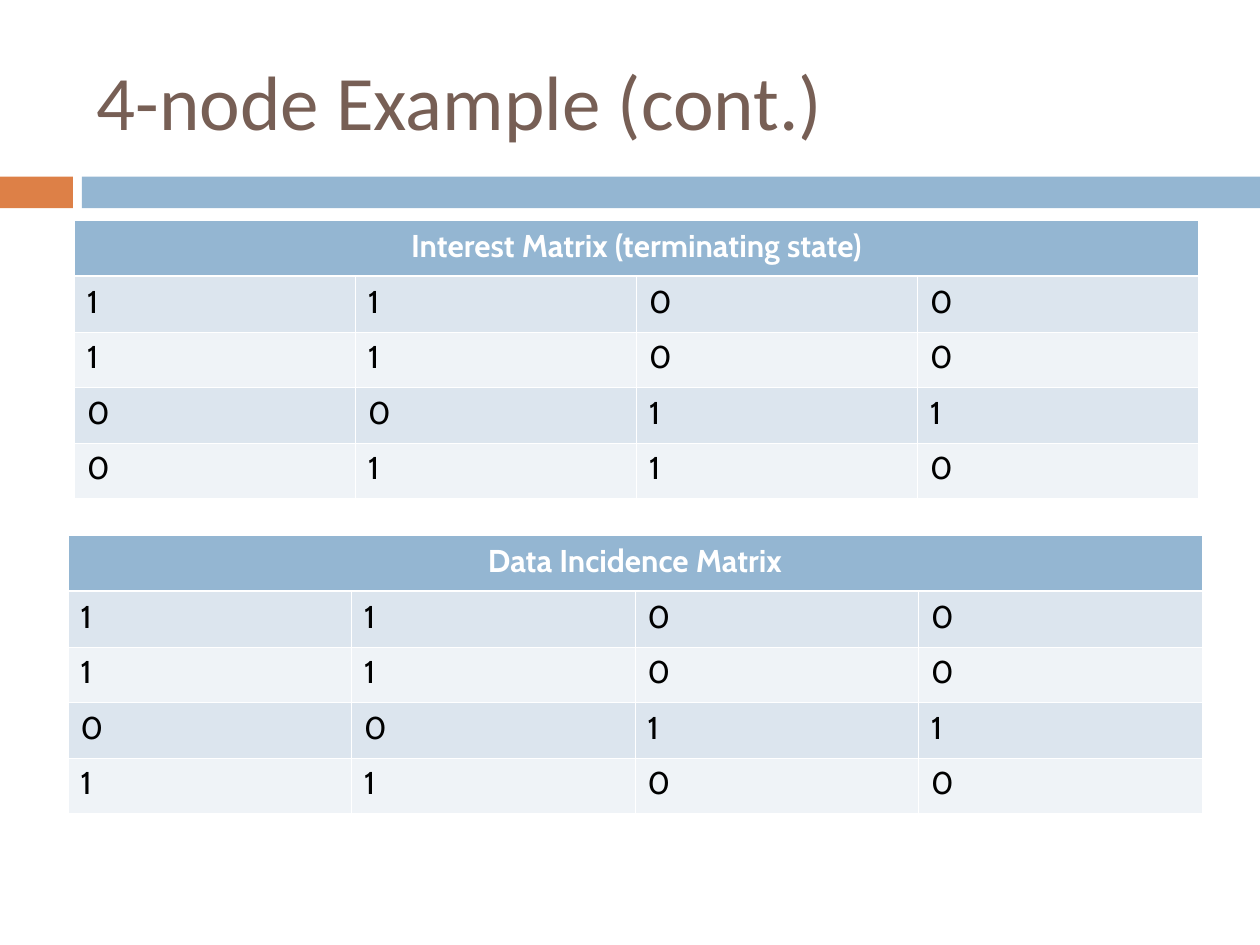
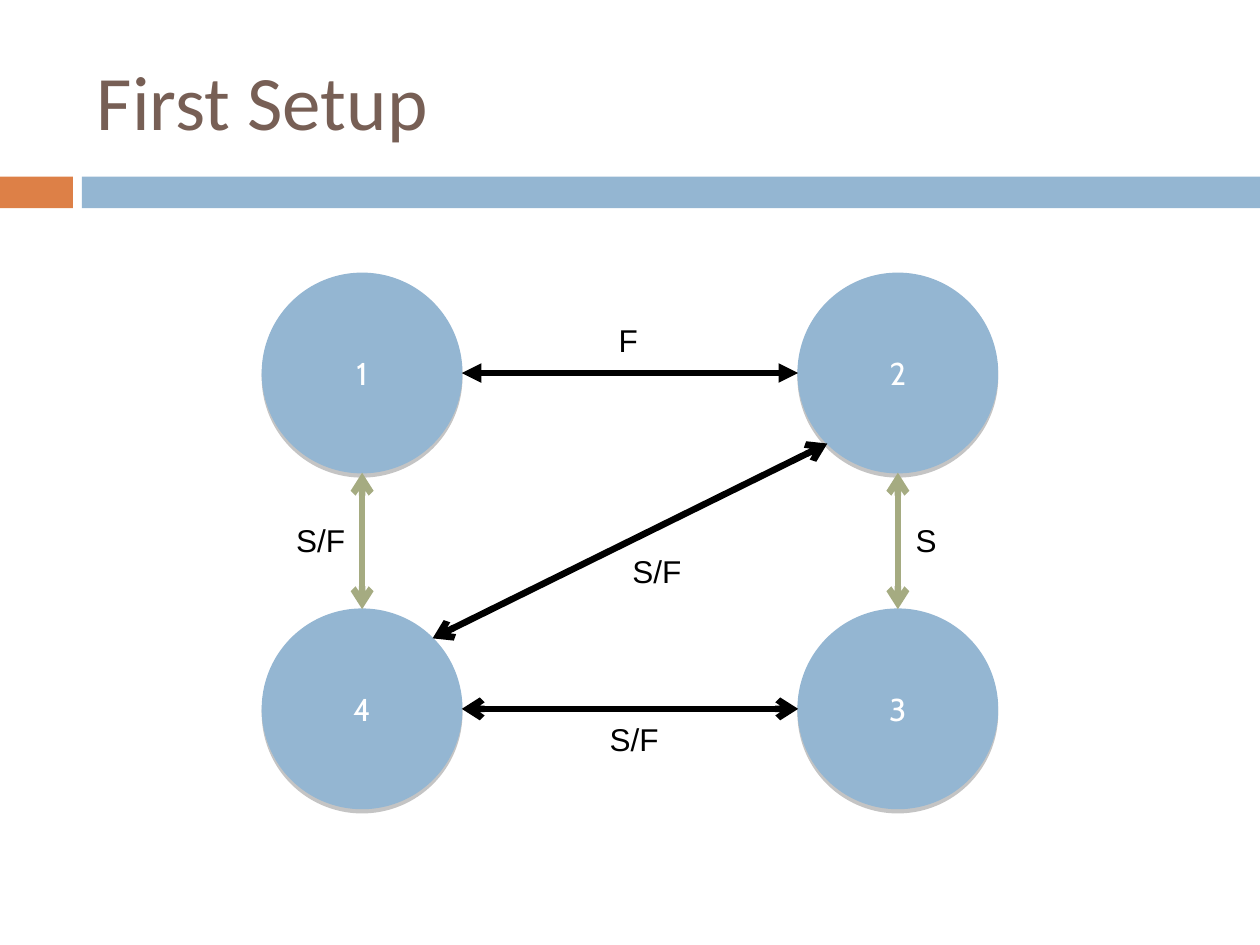
import math
import pptx
import pptx.util
import pptx.dml.color
import pptx.enum.shapes
import pptx.enum.text
import pptx.oxml
import pptx.oxml.ns

Cm, Pt = pptx.util.Cm, pptx.util.Pt
Kind = pptx.enum.shapes.MSO_SHAPE
Align = pptx.enum.text.PP_ALIGN
Mid = pptx.enum.text.MSO_ANCHOR.MIDDLE

BLUE, RUST, BROWN, SAGE = "94B6D2", "DD8047", "775F55", "A5AB81"
WHITE, BLACK = "FFFFFF", "000000"
BANDS = "DCE5EE", "EFF3F7"
BARS = [(0, 1.47, RUST), (1.65, 23.75, BLUE)]

TABLES = [
    ("Interest Matrix (terminating state)", 1.5, 4.45, 22.66,
     ["1100", "1100", "0011", "0110"]),
    ("Data Incidence Matrix", 1.37, 10.8, 22.86,
     ["1100", "1100", "0011", "1100"]),
]
ROW = 1.12

SIZE = 4.02
NODES = {"1": (7.3, 7.52), "2": (18.1, 7.52),
         "3": (18.1, 14.29), "4": (7.3, 14.29)}
LINKS = [
    ("1", 0, "2", 180, BLACK, "triangle"),
    ("4", -45, "2", 135, BLACK, "arrow"),
    ("4", 0, "3", 180, BLACK, "arrow"),
    ("4", -90, "1", 90, SAGE, "arrow"),
    ("3", -90, "2", 90, SAGE, "arrow"),
]
LABELS = [
    ("S", 18.21, 10.37, 0.91),
    ("S/F", 12.04, 14.4, 1.5),
    ("S/F", 12.5, 11, 1.5),
    ("F", 12.22, 6.35, 0.89),
    ("S/F", 5.72, 10.37, 1.5),
]


def tint(code):
    return pptx.dml.color.RGBColor.from_string(code)


def paint(thing, code):
    thing.fill.solid()
    thing.fill.fore_color.rgb = tint(code)


def write(frame, text, size, face, code, bold=False, align=Align.LEFT):
    par = frame.paragraphs[0]
    par.alignment = align
    run = par.add_run()
    run.text = text
    font = run.font
    font.size, font.name, font.bold = Pt(size), face, bold
    font.color.rgb = tint(code)


def xml(text):
    space = pptx.oxml.ns.nsdecls("a")
    return pptx.oxml.parse_xml(text.replace(" NS", " " + space, 1))


def start(deck, title):
    slide = deck.slides.add_slide(deck.slide_layouts[6])
    for left, width, code in BARS:
        bar = slide.shapes.add_shape(
            Kind.RECTANGLE, Cm(left), Cm(3.56), Cm(width), Cm(0.64))
        bar.shadow.inherit = False
        paint(bar, code)
        bar.line.fill.background()
    box = slide.shapes.add_textbox(Cm(1.7), Cm(0.64), Cm(22.66), Cm(2.74))
    frame = box.text_frame
    frame.word_wrap = True
    frame.vertical_anchor = Mid
    write(frame, title, 44, "Calibri", BROWN)
    return slide


def edge(cell, row):
    props = cell._tc.get_or_add_tcPr()
    wide = {"T": row == 1, "B": row == 0}
    for spot, side in enumerate("LRTB"):
        width = Pt(1.47 if wide.get(side) else 0.45)
        props.insert(spot, xml(
            f'<a:ln{side} NS w="{width}"><a:solidFill>'
            f'<a:srgbClr val="{WHITE}"/></a:solidFill></a:ln{side}>'))


def grid(slide, head, left, top, width, rows):
    count = len(rows[0])
    table = slide.shapes.add_table(
        len(rows) + 1, count, Cm(left), Cm(top), Cm(width),
        Cm(ROW * (len(rows) + 1))).table
    for col in table.columns:
        col.width = Cm(width / count)
    for y, line in enumerate([[head] + [""] * (count - 1)] + rows):
        for x, text in enumerate(line):
            cell = table.cell(y, x)
            paint(cell, BANDS[(y - 1) % 2] if y else BLUE)
            edge(cell, y)
            if text:
                write(cell.text_frame, text, 18, "Cabin",
                      BLACK if y else WHITE, not y,
                      Align.LEFT if y else Align.CENTER)
    table.cell(0, 0).merge(table.cell(0, count - 1))


def node(slide, name, x, y):
    disc = slide.shapes.add_shape(
        Kind.OVAL, Cm(x - SIZE / 2), Cm(y - SIZE / 2), Cm(SIZE), Cm(SIZE))
    disc.shadow.inherit = False
    paint(disc, BLUE)
    disc.line.color.rgb = tint(BLUE)
    disc.line.width = Pt(0.79)
    glow = disc._element.spPr.find(pptx.oxml.ns.qn("a:effectLst"))
    glow.append(xml(
        f'<a:outerShdw NS blurRad="0" dist="{Pt(2.4)}" dir="5400000" '
        'rotWithShape="0"><a:srgbClr val="808080"><a:alpha val="45000"/>'
        '</a:srgbClr></a:outerShdw>'))
    disc.text_frame.vertical_anchor = Mid
    write(disc.text_frame, name, 18, "Cabin", WHITE, align=Align.CENTER)


def rim(name, angle):
    x, y = NODES[name]
    turn = math.radians(angle)
    return (Cm(x + SIZE / 2 * math.cos(turn)),
            Cm(y + SIZE / 2 * math.sin(turn)))


def link(slide, one, out, two, into, code, tip):
    line = slide.shapes.add_connector(
        pptx.enum.shapes.MSO_CONNECTOR.STRAIGHT,
        *rim(one, out), *rim(two, into))
    line.line.color.rgb = tint(code)
    line.line.width = Pt(3.75)
    stroke = line.line._get_or_add_ln()
    for end in ("head", "tail"):
        stroke.append(xml(f'<a:{end}End NS type="{tip}"/>'))
    line._element.spPr.append(xml("<a:effectLst NS/>"))


def label(slide, text, left, top, width):
    box = slide.shapes.add_textbox(Cm(left), Cm(top), Cm(width), Cm(1.02))
    frame = box.text_frame
    frame.word_wrap = False
    frame.auto_size = pptx.enum.text.MSO_AUTO_SIZE.SHAPE_TO_FIT_TEXT
    write(frame, text, 18, "Arial", BLACK)


def main():
    deck = pptx.Presentation()
    deck.slide_width, deck.slide_height = Cm(25.4), Cm(19.05)
    slide = start(deck, "4-node Example (cont.)")
    for table in TABLES:
        grid(slide, *table)
    slide = start(deck, "First Setup")
    for name, spot in NODES.items():
        node(slide, name, *spot)
    for item in LINKS:
        link(slide, *item)
    for item in LABELS:
        label(slide, *item)
    deck.save("out.pptx")


if __name__ == "__main__":
    main()
